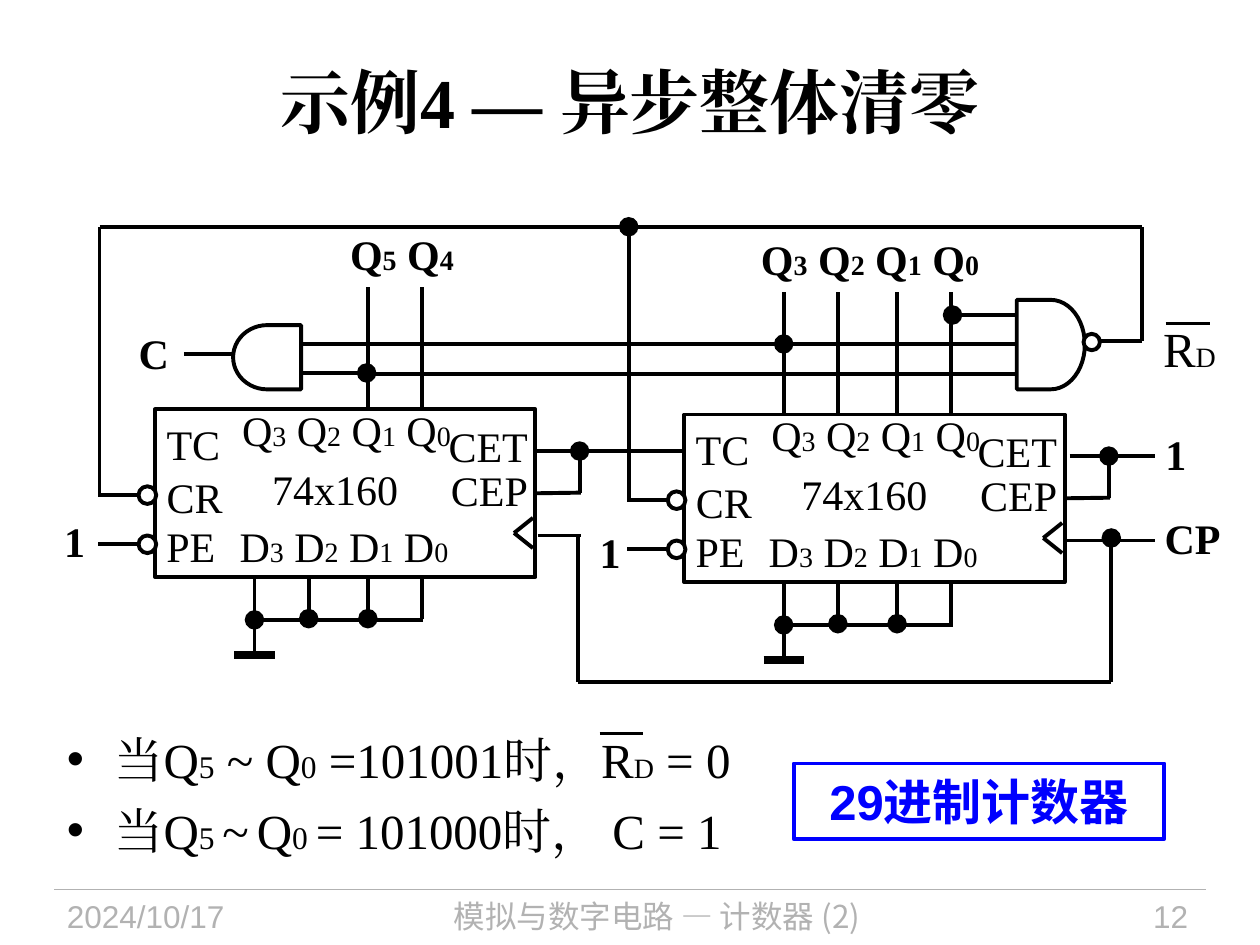
from dataclasses import dataclass

from lxml import etree
from pptx import Presentation
from pptx.dml.color import RGBColor
from pptx.enum.shapes import MSO_CONNECTOR, MSO_SHAPE
from pptx.enum.text import MSO_ANCHOR, MSO_AUTO_SIZE, PP_ALIGN
from pptx.oxml.ns import qn
from pptx.util import Inches, Pt

RECT, OVAL, GATE = MSO_SHAPE.RECTANGLE, MSO_SHAPE.OVAL, MSO_SHAPE.FLOWCHART_DELAY
LINE, MID, FIXED = MSO_CONNECTOR.STRAIGHT, MSO_ANCHOR.MIDDLE, MSO_AUTO_SIZE.NONE
LEFT, CENTER, RIGHT = PP_ALIGN.LEFT, PP_ALIGN.CENTER, PP_ALIGN.RIGHT
HUES = {"ink": "000000", "paper": "FFFFFF", "blue": "0000FF", "gray": "B2B2B2"}
SERIF, SANS, HAN = "Times New Roman", "Arial", "Noto Sans CJK SC"
WIDE, HIGH = Inches(10), Inches(7.5)
COL, ROW = WIDE / 100, HIGH / 75
PINS = (7.9, 12.2, 16.9, 21.2)
BITS = "Q|3| Q|2| Q|1| Q|0"


def hue(name):
    """Return the named colour."""
    return RGBColor.from_string(HUES[name])


def span(box):
    """Turn columns and rows into lengths."""
    x, y, w, h = box
    return round(x * COL), round(y * ROW), round(w * COL), round(h * ROW)


def style(run, size, face=SERIF, ink="ink", bold=False):
    """Format one run, for Latin and Chinese letters alike."""
    font = run.font
    font.size, font.name, font.bold = Pt(size), face, bold
    font.color.rgb = hue(ink)
    etree.SubElement(run._r.get_or_add_rPr(), qn("a:ea")).set("typeface", face)


def fill_runs(para, text, sizes, **look):
    """Split text at bars into runs whose sizes take turns."""
    for i, piece in enumerate(text.split("|")):
        run = para.add_run()
        run.text = piece
        style(run, sizes[i % len(sizes)], **look)


@dataclass
class Area:
    """Draws forms relative to the corner of a region."""

    slide: object
    x: float
    y: float

    def wire(self, x1, y1, x2, y2, dot=None, width=2.25, ink="ink"):
        """Draw a wire, with a dot at its headEnd or tailEnd if asked."""
        ends = span((self.x + x1, self.y + y1, self.x + x2, self.y + y2))
        link = self.slide.shapes.add_connector(LINE, *ends)
        link.line.width, link.line.color.rgb = Pt(width), hue(ink)
        props = link._element.spPr
        if dot:
            tip = etree.SubElement(props.find(qn("a:ln")), qn("a:" + dot))
            for key, value in (("type", "oval"), ("w", "lg"), ("len", "lg")):
                tip.set(key, value)
        etree.SubElement(props, qn("a:effectLst"))
        return link

    def form(self, kind, x, y, w, h, fill="paper", ink="ink", turn=0):
        """Draw an outlined preset shape."""
        box = span((self.x + x, self.y + y, w, h))
        item = self.slide.shapes.add_shape(kind, *box)
        item.shadow.inherit = False
        item.rotation = turn
        if fill:
            item.fill.solid()
            item.fill.fore_color.rgb = hue(fill)
        else:
            item.fill.background()
        item.line.width, item.line.color.rgb = Pt(2.25), hue(ink)
        return item

    def label(self, text, x, y, w, h=5, sizes=(24, 16), align=CENTER, **look):
        """Write a one-line label in the middle of its box."""
        box = span((self.x + x, self.y + y, w, h))
        frame = self.slide.shapes.add_textbox(*box).text_frame
        frame.margin_left = frame.margin_right = frame.margin_top = frame.margin_bottom = 0
        frame.vertical_anchor, frame.word_wrap = MID, align != CENTER
        frame.paragraphs[0].alignment = align
        fill_runs(frame.paragraphs[0], text, sizes, **look)


def chip(slide, x, y, taps):
    """Draw a counter with its stubs, ground and the given number of taps."""
    area = Area(slide, x, y)
    body = area.form(RECT, 0, 0, 30.2, 13.3, fill=None)
    for pin in PINS[-taps:]:
        area.wire(pin, 0, pin, -9.7)
    area.wire(30.2, 6.6, 33.8, 6.6).begin_connect(body, 3)
    area.wire(33.7, 6.6, 33.7, 3.3, "tailEnd")
    area.wire(30.4, 10, 33.8, 10)
    for row in (6.8, 10.7):
        area.wire(-4.5, row, -0.1, row)
        area.form(OVAL, -1.3, row - 0.7, 1.4, 1.4)
    for row in (8.6, 11):
        area.wire(30, row, 28.5, 9.8)
    first, *rest = PINS
    area.wire(first, 13.4, first, 19.5)
    for pin in rest:
        area.wire(pin, 16.6, pin, 13.4, "headEnd" if pin < rest[-1] else None)
    area.wire(first, 16.7, rest[-1] + 0.1, 16.7, "headEnd")
    area.wire(first - 1.6, 19.5, first + 1.6, 19.5, width=4.5)
    for text, left, top, wide in (
        ("TC", -0.1, 0.2, 6.3), ("CR", -0.1, 4.4, 6.5), ("PE", -0.1, 8.3, 5.9),
        ("CET", 22.3, 0.4, 8.3), ("CEP", 22.5, 3.9, 8.1), ("74x160", 8.3, 3.8, 12),
        (BITS, 5.9, -0.9, 18.6), (BITS.replace("Q", "D"), 5.7, 8.3, 18.6),
    ):
        area.label(text, left, top, wide)


def net(slide, x, y):
    """Draw the gates, the wires between the counters and the outer labels."""
    area = Area(slide, x, y)
    for ends in (
        (7.9, 0, 90.6, 0), (7.9, 21.2, 7.9, 0), (49.9, 21.6, 49.9, 0, "tailEnd"),
        (90.6, 9.1, 90.6, 0), (87.4, 9.1, 90.6, 9.1), (14.6, 10.1, 18.5, 10.1),
        (24, 9.3, 62.2, 9.3, "tailEnd"), (62.2, 9.3, 80.7, 9.3),
        (24, 11.6, 29.1, 11.6, "tailEnd"), (29.1, 11.7, 80.7, 11.7),
        (75.6, 7, 80.7, 7, "headEnd"), (42.5, 17.8, 54.3, 17.8),
        (45.9, 36.1, 45.9, 24.4), (45.9, 36.1, 88.2, 36.1),
        (88.2, 36.1, 88.2, 24.7, "tailEnd"),
        (84.9, 18.2, 91.7, 18.2), (84.9, 24.9, 91.7, 24.9),
    ):
        area.wire(*ends)
    area.form(GATE, 18.5, 7.8, 5.4, 5.1, turn=180)
    area.form(GATE, 80.7, 5.8, 5.4, 7.1)
    area.form(OVAL, 86, 8.5, 1.3, 1.3)
    for text, left, top, wide, high in (
        ("Q|5| Q|4", 26.8, -0.4, 10.2, 5), (BITS, 59.4, 0, 19.3, 5),
        ("C", 11, 8.2, 2.4, 3.6), ("1", 5.1, 23.1, 1.6, 3.6),
        ("1", 47.6, 24, 1.6, 3.6), ("1", 92.5, 16.2, 1.6, 3.6),
        ("CP", 91.7, 22.9, 5.9, 3.6),
    ):
        area.label(text, left, top, wide, high, bold=True)
    area.label("R|D", 91.3, 6.8, 6.2, 5.7, (28, 16))
    area.wire(92.5, 7.7, 96, 7.7, width=1.5)


def head(slide, box):
    """Fill the title."""
    title = slide.shapes.title
    title.left, title.top, title.width, title.height = span(box)
    frame = title.text_frame
    frame.text = "示例4 — 异步整体清零"
    frame.vertical_anchor = MID
    frame.paragraphs[0].alignment = CENTER
    style(frame.paragraphs[0].runs[0], 40, bold=True)


def notes(slide, box):
    """Fill the bullet list and draw the result beside it."""
    body = slide.placeholders[1]
    body.left, body.top, body.width, body.height = span(box)
    frame = body.text_frame
    frame.auto_size = FIXED
    rows = (
        ("当Q|5| ~ Q|0| =101001时，R|D| = 0", (28, 18, 28, 18, 28, 16)),
        ("当Q|5 |~| |Q|0 |= 101000时， C = 1", (28, 18)),
    )
    for i, (text, sizes) in enumerate(rows):
        para = frame.add_paragraph() if i else frame.paragraphs[0]
        para.space_before, para.space_after = Pt(0), Pt(7)
        props = para._p.get_or_add_pPr()
        props.set("marL", str(Inches(0.38)))
        props.set("indent", str(-Inches(0.38)))
        etree.SubElement(props, qn("a:buChar")).set("char", "•")
        fill_runs(para, text, sizes)
    area = Area(slide, box[0], box[1])
    area.wire(43.3, 0.8, 46.7, 0.8, width=1.5)
    frame = area.form(RECT, 58.7, 3.2, 29.4, 6, fill=None, ink="blue").text_frame
    frame.text = "29进制计数器"
    frame.vertical_anchor = MID
    frame.paragraphs[0].alignment = CENTER
    style(frame.paragraphs[0].runs[0], 28, SANS, "blue", True)


def foot(slide, x, y):
    """Draw the rule, date, course name and page number."""
    area = Area(slide, x, y)
    area.wire(0, 0, 91.4, 0, width=0.75, ink="gray")
    for text, left, wide, align, face in (
        ("2024/10/17", 1, 16.8, LEFT, SANS),
        ("模拟与数字电路 — 计数器 (2)", 19.7, 56.3, CENTER, HAN),
        ("12", 77.7, 12.3, RIGHT, SANS),
    ):
        area.label(text, left, 0, wide, 4.2, (18,), align, face=face, ink="gray")


def main():
    """Build the slide and save it."""
    deck = Presentation()
    deck.slide_width, deck.slide_height = WIDE, HIGH
    slide = deck.slides.add_slide(deck.slide_layouts[1])
    foot(slide, 4.3, 70.6)
    head(slide, (5, 1.7, 90, 12.5))
    notes(slide, (4.3, 57.4, 70.3, 12.2))
    chip(slide, 12.3, 32.5, 2)
    chip(slide, 54.3, 32.9, 4)
    net(slide, 0, 18)
    deck.save("out.pptx")


if __name__ == "__main__":
    main()
